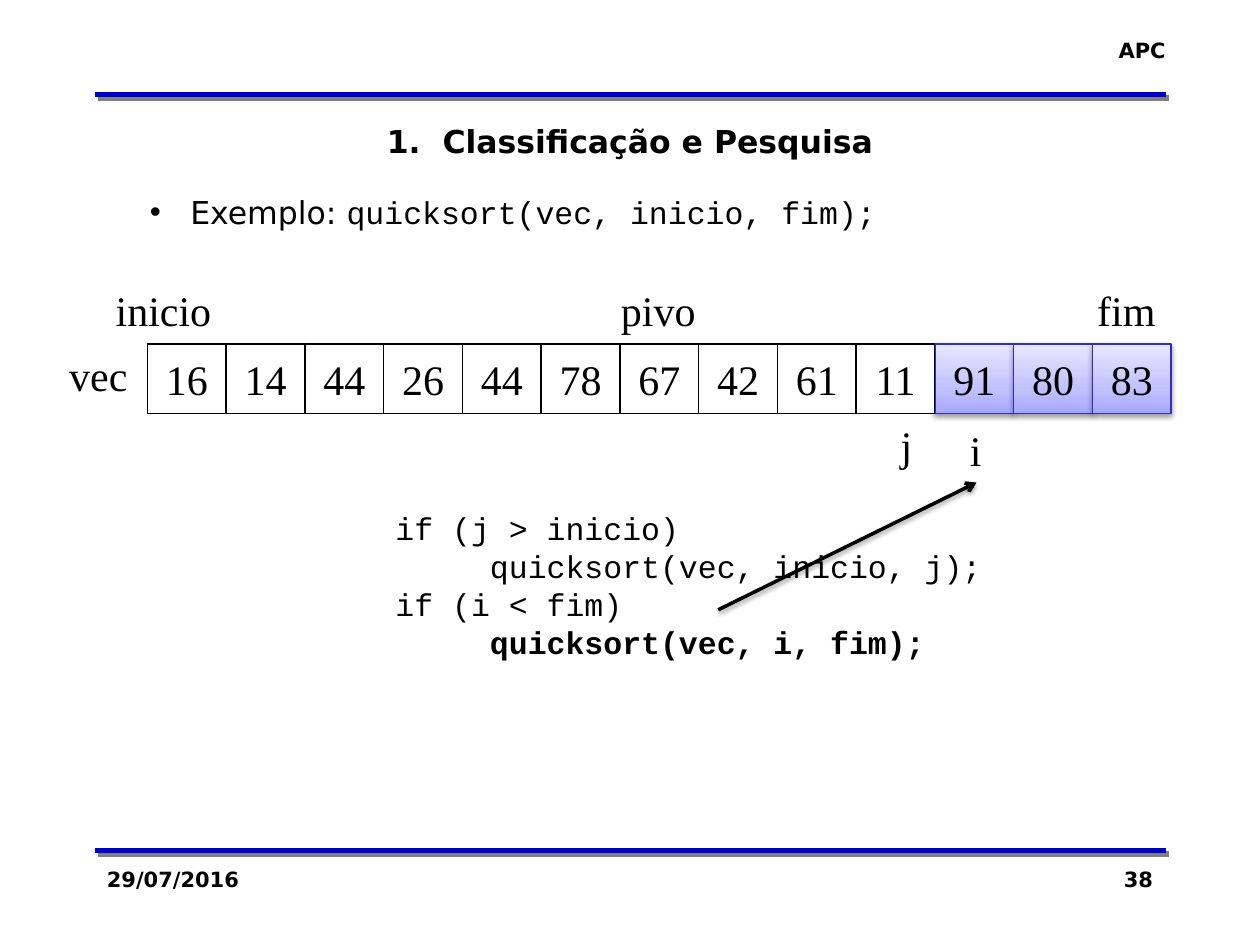
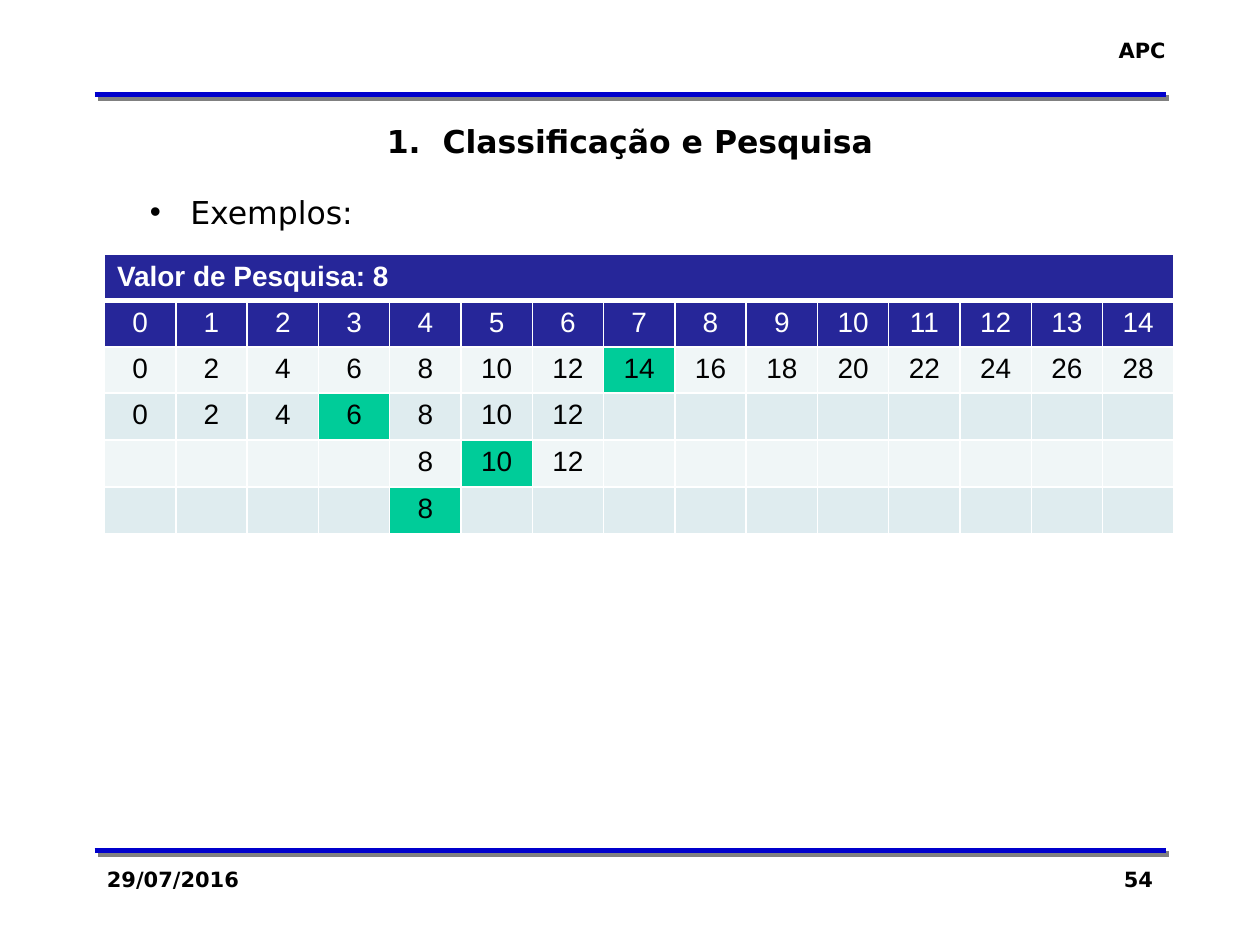
"""Build two slides on quicksort and binary search."""
from copy import deepcopy
from dataclasses import dataclass

from lxml import etree
from pptx import Presentation
from pptx.dml.color import RGBColor
from pptx.enum.shapes import MSO_CONNECTOR, MSO_SHAPE
from pptx.enum.text import MSO_ANCHOR, MSO_AUTO_SIZE, PP_ALIGN
from pptx.oxml.ns import qn
from pptx.util import Inches, Pt

LEFT, CENTER, RIGHT, JUSTIFY = PP_ALIGN.LEFT, PP_ALIGN.CENTER, PP_ALIGN.RIGHT, PP_ALIGN.JUSTIFY
TOP, MIDDLE = MSO_ANCHOR.TOP, MSO_ANCHOR.MIDDLE
NO_FIT = MSO_AUTO_SIZE.NONE
STRAIGHT, RECT = MSO_CONNECTOR.STRAIGHT, MSO_SHAPE.RECTANGLE
BOTTOM_SIDE = 2


@dataclass(frozen=True)
class Theme:
    black: str = "000000"
    white: str = "FFFFFF"
    rule: str = "0000CC"
    cell_line: str = "2E2ECB"
    gradient: tuple = ((0, "A7A7FF"), (0.35, "C1C1FF"), (1, "E7E7FF"))
    header: str = "262699"
    bands: tuple = ("F0F6F7", "DFECEF")
    found: str = "00CC99"
    rule_shadow: tuple = ("808080", 100, 0, 2.8, 45)
    soft_shadow: tuple = ("000000", 38, 3.1, 1.6, 90)
    sans: str = "DejaVu Sans"
    serif: str = "Times New Roman"
    mono: str = "Courier New"
    table: str = "Arial"
    small: int = 12
    cell: int = 16
    body: int = 18
    large: int = 24


def rgb(value):
    return RGBColor.from_string(value)


def place(sp, box):
    sp.left, sp.top, sp.width, sp.height = (Inches(v) for v in box)


def add_text(p, text, font, size, color="000000", bold=False, align=None):
    r = p.add_run()
    r.text = text
    r.font.name, r.font.size, r.font.bold = font, Pt(size), bold
    r.font.color.rgb = rgb(color)
    if align is not None:
        p.alignment = align


def set_shadow(sp, shadow=None):
    effects = etree.SubElement(sp._element.spPr, qn("a:effectLst"))
    if shadow:
        color, alpha, blur, dist, angle = shadow
        outer = etree.SubElement(effects, qn("a:outerShdw"), blurRad=str(Pt(blur)),
                                 dist=str(Pt(dist)), dir=str(angle * 60000),
                                 algn="ctr", rotWithShape="0")
        clr = etree.SubElement(outer, qn("a:srgbClr"), val=color)
        etree.SubElement(clr, qn("a:alpha"), val=str(alpha * 1000))


def set_borders(cell, **widths):
    tc_pr = cell._tc.get_or_add_tcPr()
    for side in "LRTB":
        ln = etree.SubElement(tc_pr, qn(f"a:ln{side}"), w=str(Pt(widths.get(side, 1))))
        fill = etree.SubElement(ln, qn("a:solidFill"))
        etree.SubElement(fill, qn("a:srgbClr"), val="FFFFFF")


class Deck:
    def __init__(self, theme):
        self.t = theme
        self.prs = Presentation()
        self.prs.slide_width, self.prs.slide_height = Inches(10), Inches(7.5)
        self.s = None

    def slide(self, number, bullet, code=""):
        t = self.t
        self.s = self.prs.slides.add_slide(self.prs.slide_layouts[1])
        for y in (6.75, 0.75):
            self.line((0.75, y), (9.25, y), t.rule, 3, t.rule_shadow)
        small = {"font": t.sans, "size": t.small, "bold": True}
        self.text((8.77, 0.25, 0.58, 0.3), "APC", align=RIGHT, **small)
        self.text((0.75, 6.83, 2.08, 0.5), "29/07/2016", **small)
        self.text((7.17, 6.83, 2.08, 0.5), number, align=RIGHT, **small)
        p = self.placeholder(0, (0.75, 0.92, 8.5, 0.4))
        add_text(p, "1.  Classificação e Pesquisa", t.sans, t.body, bold=True, align=CENTER)
        p = self.placeholder(1, (1.09, 1.48, 7.58, 0.4))
        add_text(p, bullet, t.sans, t.body, align=JUSTIFY)
        if code:
            add_text(p, code, t.mono, t.body)
        p_pr = p._p.get_or_add_pPr()
        p_pr.set("marL", str(Inches(0.32)))
        p_pr.set("indent", str(Inches(-0.32)))
        etree.SubElement(p_pr, qn("a:buChar"), char="•")

    def placeholder(self, idx, box):
        sp = self.s.placeholders[idx]
        place(sp, box)
        tf = sp.text_frame
        tf.auto_size, tf.vertical_anchor, tf.word_wrap = NO_FIT, TOP, True
        p = tf.paragraphs[0]
        p.space_before = Pt(0)
        return p

    def text(self, box, text, align=LEFT, **fmt):
        sp = self.s.shapes.add_textbox(*(Inches(v) for v in box))
        tf = sp.text_frame
        tf.word_wrap, tf.auto_size = False, NO_FIT
        add_text(tf.paragraphs[0], text, align=align, **fmt)
        return sp

    def label(self, box, text):
        return self.text(box, text, font=self.t.serif, size=self.t.large)

    def code(self, box, lines):
        sp = self.s.shapes.add_textbox(*(Inches(v) for v in box))
        tf = sp.text_frame
        tf.word_wrap = True
        for i, (text, indent, bold) in enumerate(lines):
            p = tf.add_paragraph() if i else tf.paragraphs[0]
            p.line_spacing = Pt(21.7)
            p._p.get_or_add_pPr().set("marL", str(Inches(indent)))
            add_text(p, text, self.t.mono, self.t.body, bold=bold)

    def rect(self, box, text, line=None, active=False):
        t = self.t
        sp = self.s.shapes.add_shape(RECT, *(Inches(v) for v in box))
        if active:
            sp.fill.gradient()
            sp.fill.gradient_angle = 90
            stops = sp._element.spPr.find(qn("a:gradFill")).gsLst
            stops.insert(1, deepcopy(stops[0]))
            for stop, (position, color) in zip(sp.fill.gradient_stops, t.gradient):
                stop.position = position
                stop.color.rgb = rgb(color)
        else:
            sp.fill.solid()
            sp.fill.fore_color.rgb = rgb(t.white)
        if line:
            sp.line.color.rgb = rgb(line)
            sp.line.width = Pt(0.75)
        else:
            sp.line.fill.background()
        set_shadow(sp, t.soft_shadow if active else None)
        tf = sp.text_frame
        tf.word_wrap, tf.vertical_anchor = False, MIDDLE
        add_text(tf.paragraphs[0], text, t.serif, t.large, align=CENTER)

    def line(self, start, end, color, width, shadow, target=None):
        cx = self.s.shapes.add_connector(STRAIGHT, *(Inches(v) for v in (*start, *end)))
        cx.line.color.rgb = rgb(color)
        cx.line.width = Pt(width)
        if target is not None:
            etree.SubElement(cx.line._get_or_add_ln(), qn("a:tailEnd"), type="arrow")
            cx.end_connect(target, BOTTOM_SIDE)
        set_shadow(cx, shadow)

    def cell(self, cell, text, fill, color, bold=False, align=CENTER, **borders):
        t = self.t
        set_borders(cell, **borders)
        cell.fill.solid()
        cell.fill.fore_color.rgb = rgb(fill)
        p = cell.text_frame.paragraphs[0]
        if text:
            add_text(p, text, t.table, t.cell, color, bold, align)
        else:
            etree.SubElement(p._p, qn("a:endParaRPr"), sz=str(t.cell * 100))

    def search_table(self, box, title, count, steps):
        t = self.t
        frame = self.s.shapes.add_table(len(steps) + 2, count, *(Inches(v) for v in box))
        tbl = frame.table
        tbl.first_row = tbl.horz_banding = False
        for col in tbl.columns:
            col.width = Inches(box[2] / count)
        tbl.cell(0, 0).merge(tbl.cell(0, count - 1))
        for i in range(count):
            self.cell(tbl.cell(0, i), "" if i else title, t.header, t.white, True, LEFT, B=3)
            self.cell(tbl.cell(1, i), str(i), t.header, t.white, T=3)
            for row, (low, high, mid) in enumerate(steps):
                text = str(2 * i) if low <= i <= high else ""
                fill = t.found if i == mid else t.bands[row % 2]
                self.cell(tbl.cell(row + 2, i), text, fill, t.black)


def quicksort_slide(deck):
    t = deck.t
    deck.slide("38", "Exemplo: ", "quicksort(vec, inicio, fim);")
    values = (16, 14, 44, 26, 44, 78, 67, 42, 61, 11, 91, 80, 83)
    pitch, first_active = 5 / 8, 10
    for i in (*range(first_active, len(values)), *range(first_active)):
        active = i >= first_active
        deck.rect((1.17 + i * pitch, 2.73, pitch, 0.55), str(values[i]),
                  t.cell_line if active else t.black, active)
    deck.rect((0.47, 2.7, 0.62, 0.55), "vec")
    deck.label((0.82, 2.21, 0.97, 0.5), "inicio")
    deck.label((4.83, 2.21, 0.8, 0.5), "pivo")
    deck.label((8.61, 2.21, 0.67, 0.5), "fim")
    deck.label((7.05, 3.28, 0.3, 0.51), "j")
    i_label = deck.label((7.6, 3.32, 0.3, 0.51), "i")
    deck.code((3.04, 3.99, 4.85, 1.32), (
        ("if (j > inicio)", 0, False),
        ("quicksort(vec, inicio, j);", 0.75, False),
        ("if (i < fim)", 0, False),
        ("quicksort(vec, i, fim);", 0.75, True),
    ))
    deck.line((5.7, 4.84), (7.75, 3.83), t.black, 2, t.soft_shadow, i_label)


def search_slide(deck):
    deck.slide("54", "Exemplos:")
    steps = ((0, 14, 7), (0, 6, 3), (4, 6, 5), (4, 4, 4))
    deck.search_table((0.83, 2.02, 8.49, 2.2), "Valor de Pesquisa: 8", 15, steps)


def main():
    deck = Deck(Theme())
    quicksort_slide(deck)
    search_slide(deck)
    deck.prs.save("out.pptx")


if __name__ == "__main__":
    main()
